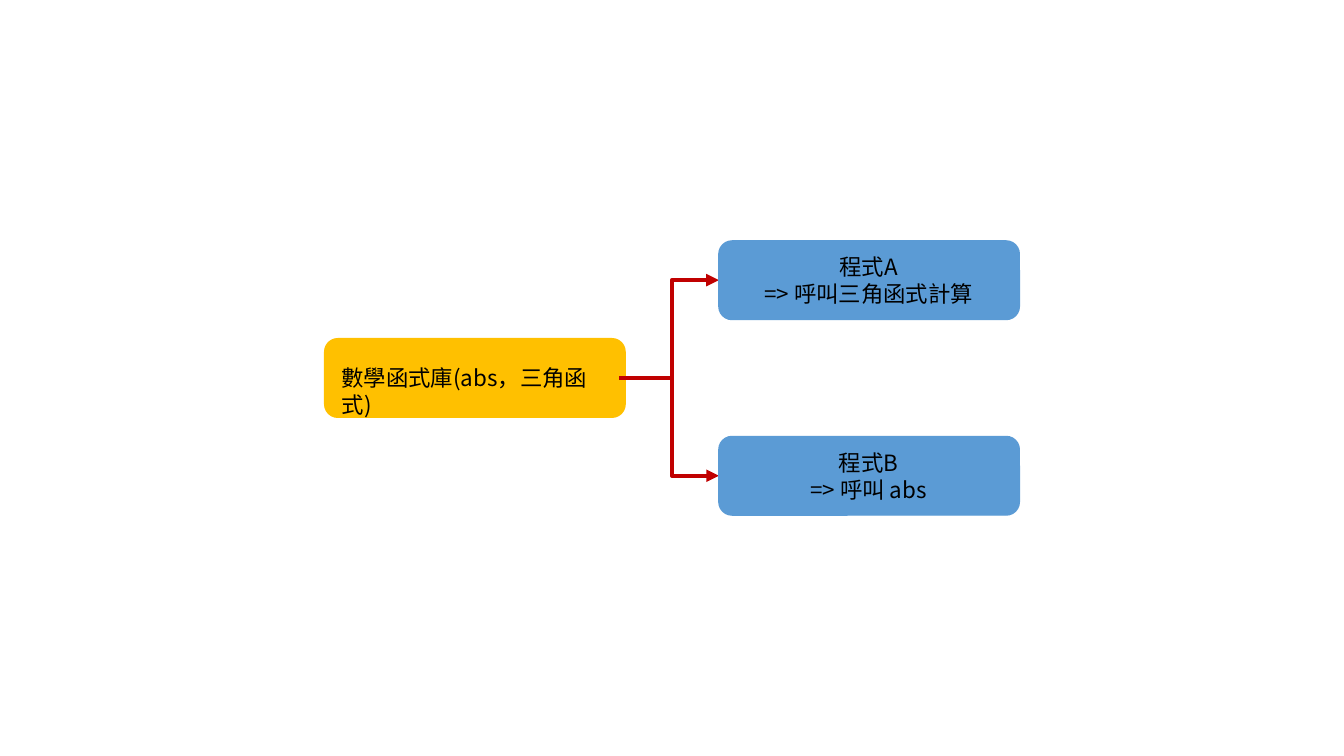
from lxml import etree
from pptx import Presentation
from pptx.dml.color import RGBColor
from pptx.enum.shapes import MSO_CONNECTOR, MSO_SHAPE
from pptx.enum.text import MSO_ANCHOR, PP_ALIGN
from pptx.oxml.ns import qn
from pptx.util import Inches, Pt

ROUND, RECT = MSO_SHAPE.ROUNDED_RECTANGLE, MSO_SHAPE.RECTANGLE
ELBOW = MSO_CONNECTOR.ELBOW
TOP, MIDDLE = MSO_ANCHOR.TOP, MSO_ANCHOR.MIDDLE
LEFT, CENTER = PP_ALIGN.LEFT, PP_ALIGN.CENTER

FONT = "Noto Sans CJK JP"
GOLD, BLUE, RED, BLACK = "FFC000", "5B9BD5", "C00000", "000000"
WIDE, HIGH = 2.98, 0.78


def paint(target, color):
    target.solid()
    target.fore_color.rgb = RGBColor.from_string(color)


def block(slide, kind, box, color, width):
    shape = slide.shapes.add_shape(kind, *map(Inches, box))
    shape.shadow.inherit = False
    paint(shape.fill, color)
    paint(shape.line.fill, color)
    shape.line.width = Pt(width)
    return shape


def write(shape, lines, align, anchor):
    frame = shape.text_frame
    frame.word_wrap = True
    frame.vertical_anchor = anchor
    for i, line in enumerate(lines):
        para = frame.paragraphs[0] if i == 0 else frame.add_paragraph()
        para.alignment = align
        run = para.add_run()
        run.text = line
        run.font.size = Pt(16)
        run.font.name = FONT
        paint(run.font.fill, BLACK)
        etree.SubElement(run.font._element, qn("a:ea"), typeface=FONT)


def library(slide, left, top):
    block(slide, ROUND, (left, top, WIDE, HIGH), GOLD, 1)
    label = slide.shapes.add_textbox(
        *map(Inches, (left + 0.07, top + 0.2, 2.85, 0.37)))
    write(label, ["數學函式庫(abs，三角函式)"], LEFT, TOP)


def program(slide, left, top, lines):
    block(slide, ROUND, (left, top, WIDE, HIGH), BLUE, 1)
    label = block(slide, RECT, (left + 0.06, top + 0.07, 2.85, 0.64), BLUE, 0.75)
    write(label, lines, CENTER, MIDDLE)


def arrow(slide, start, end, bend):
    """Draw an elbow arrow that turns at the share bend of its width."""
    link = slide.shapes.add_connector(ELBOW, *map(Inches, start + end))
    paint(link.line.fill, RED)
    link.line.width = Pt(3)
    props = link._element.spPr
    guides = props.find(qn("a:prstGeom")).get_or_add_avLst()
    etree.SubElement(guides, qn("a:gd"), name="adj1",
                     fmla=f"val {round(bend * 100000)}")
    etree.SubElement(props.find(qn("a:ln")), qn("a:tailEnd"), type="triangle")
    etree.SubElement(props, qn("a:effectLst"))


def main():
    deck = Presentation()
    deck.slide_width, deck.slide_height = Inches(13.33), Inches(7.5)
    slide = deck.slides.add_slide(deck.slide_layouts[6])
    left, top, right, step = 3.22, 3.36, 7.13, 0.97
    mid = top + HIGH / 2
    library(slide, left, top)
    arrow(slide, (left + 2.92, mid), (right, mid + step), 0.53)
    arrow(slide, (left + WIDE, mid), (right, mid - step), 0.5)
    program(slide, right, top + step, ["程式B", "=> 呼叫 abs"])
    program(slide, right, top - step, ["程式A", "=> 呼叫三角函式計算"])
    deck.save("out.pptx")


if __name__ == "__main__":
    main()
